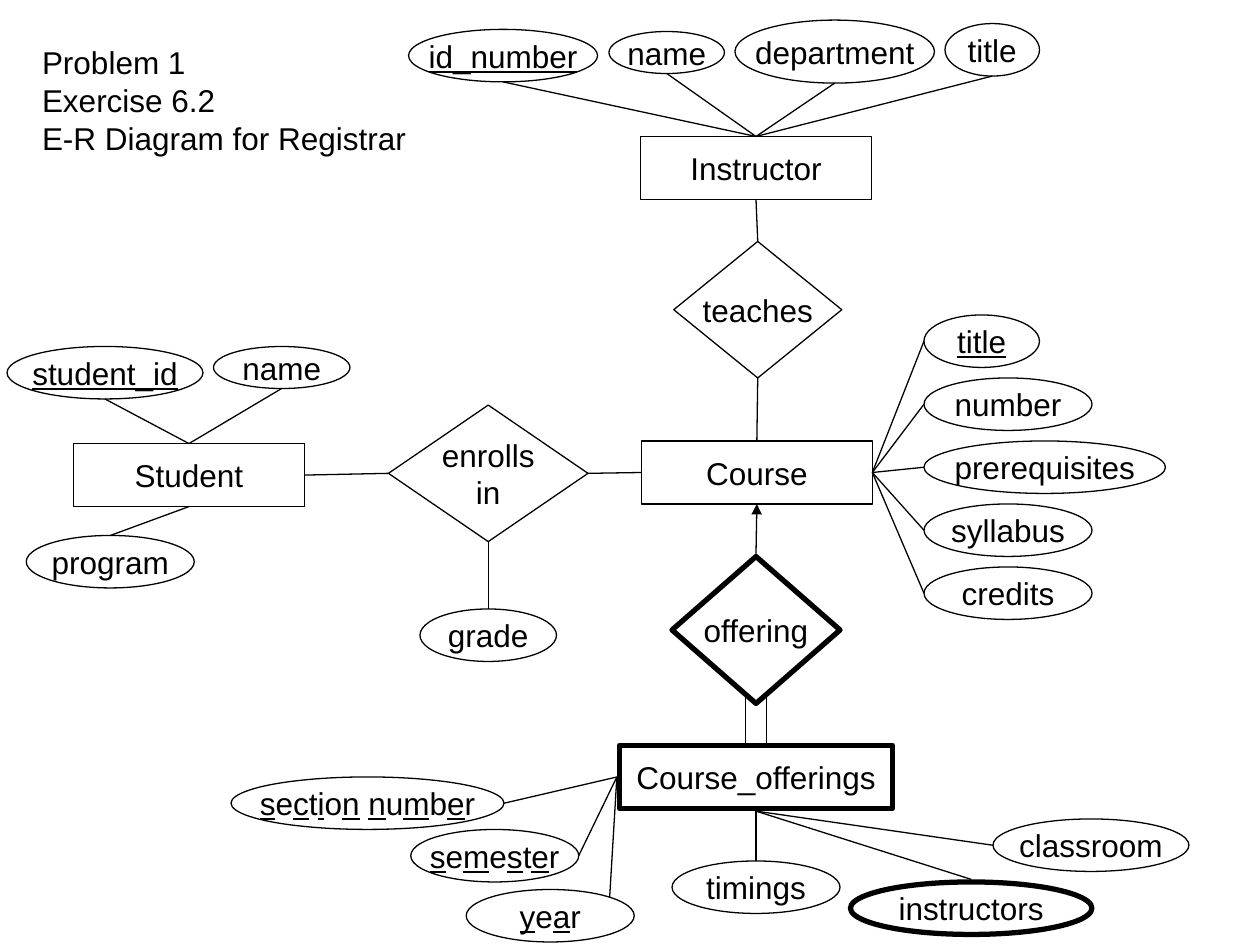
from lxml.etree import SubElement
from pptx import Presentation
from pptx.dml.color import RGBColor
from pptx.enum.shapes import MSO_CONNECTOR as Connector, MSO_SHAPE as Shape
from pptx.enum.text import MSO_ANCHOR as Anchor, MSO_AUTO_SIZE as AutoSize, PP_ALIGN as Align
from pptx.oxml.ns import qn
from pptx.util import Pt

COLORS = {"ink": "000000"}
INK = RGBColor.from_string(COLORS["ink"])
FONT = {"name": "Arial", "size": Pt(18), "bold": False}
FRAME = {"word_wrap": False, "margin_left": Pt(7.2), "margin_right": Pt(7.2),
         "margin_top": Pt(3.6), "margin_bottom": Pt(3.6)}
THIN, HEAVY = 0.74, 3
SIDES = {"top": (0.5, 0), "left": (0, 0.5), "bottom": (0.5, 1),
         "right": (1, 0.5), "upper right": (0.854, 0.146)}

ENTITIES = {
    "course": ("Course", 366.5, 252, 132, 36),
    "student": ("Student", 42, 253.5, 132, 36),
    "instructor": ("Instructor", 366, 78, 132, 36),
    "offerings": ("Course_offerings", 354, 426, 156, 36),
}
RELATIONS = {
    "enrolls": ("enrolls\nin", 222, 231.5, 114, 78),
    "teaches": ("teaches", 385, 138, 96, 78),
    "offering": ("offering", 384, 318, 96, 84),
}
ATTRIBUTES = {
    "grade": ("grade", 240, 348, 78, 30),
    "instructor id": ("id_number", 233.5, 16.8, 108, 30),
    "instructor name": ("name", 348, 18, 66, 24),
    "department": ("department", 420, 11.5, 114, 36),
    "instructor title": ("title", 540, 13.5, 54, 30),
    "student id": ("student_id", 4, 198, 112, 30),
    "student name": ("name", 122, 198, 78, 24),
    "program": ("program", 15, 306, 96, 30),
    "section": ("section number", 132, 444, 156, 30),
    "semester": ("semester", 234.7, 474, 96, 30),
    "year": ("year", 266.4, 508.3, 96, 30),
    "timings": ("timings", 384, 492, 96, 30),
    "instructors": ("instructors", 486, 504, 138, 30),
    "classroom": ("classroom", 567.4, 468, 112, 30),
}
COURSE_ATTRIBUTES = [("title", 66), ("number", 96), ("prerequisites", 138),
                     ("syllabus", 96), ("credits", 96)]
FULL_KEYS = {"instructor id", "student id", "course title"}
PARTIAL_KEYS = {"section", "semester", "year"}
WEAK = {"offering", "offerings", "instructors"}
LINKS = [
    ("instructor", "top", "bottom",
     ["instructor id", "instructor name", "department", "instructor title"]),
    ("student", "top", "bottom", ["student id", "student name"]),
    ("student", "bottom", "top", ["program"]),
    ("student", "right", "left", ["enrolls"]),
    ("enrolls", "bottom", "top", ["grade"]),
    ("enrolls", "right", "left", ["course"]),
    ("instructor", "bottom", "top", ["teaches"]),
    ("teaches", "bottom", "top", ["course"]),
    ("course", "right", "left", [f"course {label}" for label, _ in COURSE_ATTRIBUTES]),
    ("offerings", "left", "right", ["section", "semester"]),
    ("offerings", "left", "upper right", ["year"]),
    ("offerings", "bottom", "top", ["timings", "instructors"]),
    ("offerings", "bottom", "left", ["classroom"]),
]


def apply(target, values):
    for name, value in values.items():
        setattr(target, name, value)


def write(frame, text, align, underline=""):
    apply(frame, FRAME)
    for index, line in enumerate(text.split("\n")):
        para = frame.add_paragraph() if index else frame.paragraphs[0]
        apply(para, {"alignment": align, "space_before": Pt(0), "line_spacing": 1.0})
        parts = line if underline == "alternate" else [line]
        for position, part in enumerate(parts):
            span = para.add_run()
            span.text = part
            apply(span.font, FONT)
            span.font.color.rgb = INK
            if underline:
                span.font.underline = position % 2 == 0


def add_title(page):
    box = page.shapes.title
    apply(box, {"left": Pt(16.8), "top": Pt(21), "width": Pt(222.5), "height": Pt(72)})
    write(box.text_frame, "Problem 1\nExercise 6.2\nE-R Diagram for Registrar", Align.LEFT)
    apply(box.text_frame, {"vertical_anchor": Anchor.TOP,
                           "auto_size": AutoSize.SHAPE_TO_FIT_TEXT})


def add_node(page, kind, key, node):
    label, *place = node
    box = page.shapes.add_shape(kind, *map(Pt, place))
    box.shadow.inherit = False
    box.fill.background()
    box.line.color.rgb = INK
    box.line.width = Pt(HEAVY if key in WEAK else THIN)
    underline = "full" if key in FULL_KEYS else "alternate" if key in PARTIAL_KEYS else ""
    write(box.text_frame, label, Align.CENTER, underline)
    box.text_frame.vertical_anchor = Anchor.MIDDLE


def anchor(nodes, key, side):
    _, left, top, width, height = nodes[key]
    across, down = SIDES[side]
    outset = HEAVY if key in WEAK else 0
    return (left + width * across + outset * (across - 0.5),
            top + height * down + outset * (down - 0.5))


def add_line(page, start, end, arrow=False):
    line = page.shapes.add_connector(Connector.STRAIGHT, *map(Pt, start + end))
    line.line.color.rgb = INK
    line.line.width = Pt(THIN)
    if arrow:
        SubElement(line.line._get_or_add_ln(), qn("a:tailEnd"), type="triangle")
    SubElement(line._element.spPr, qn("a:effectLst"))


def main():
    deck = Presentation()
    apply(deck, {"slide_width": Pt(720), "slide_height": Pt(540)})
    page = deck.slides.add_slide(deck.slide_layouts[5])
    add_title(page)
    course_attributes = {f"course {label}": (label, 528, 180 + 36 * row, width, 30)
                         for row, (label, width) in enumerate(COURSE_ATTRIBUTES)}
    groups = [(Shape.RECTANGLE, ENTITIES), (Shape.DIAMOND, RELATIONS),
              (Shape.OVAL, ATTRIBUTES | course_attributes)]
    nodes = {}
    for kind, group in groups:
        nodes.update(group)
        for key, node in group.items():
            add_node(page, kind, key, node)
    for source, source_side, target_side, targets in LINKS:
        for target in targets:
            add_line(page, anchor(nodes, source, source_side),
                     anchor(nodes, target, target_side))
    add_line(page, anchor(nodes, "offering", "top"),
             anchor(nodes, "course", "bottom"), arrow=True)
    for x in (426, 438):
        add_line(page, (x, 397), (x, 426))
    deck.save("out.pptx")


main()
